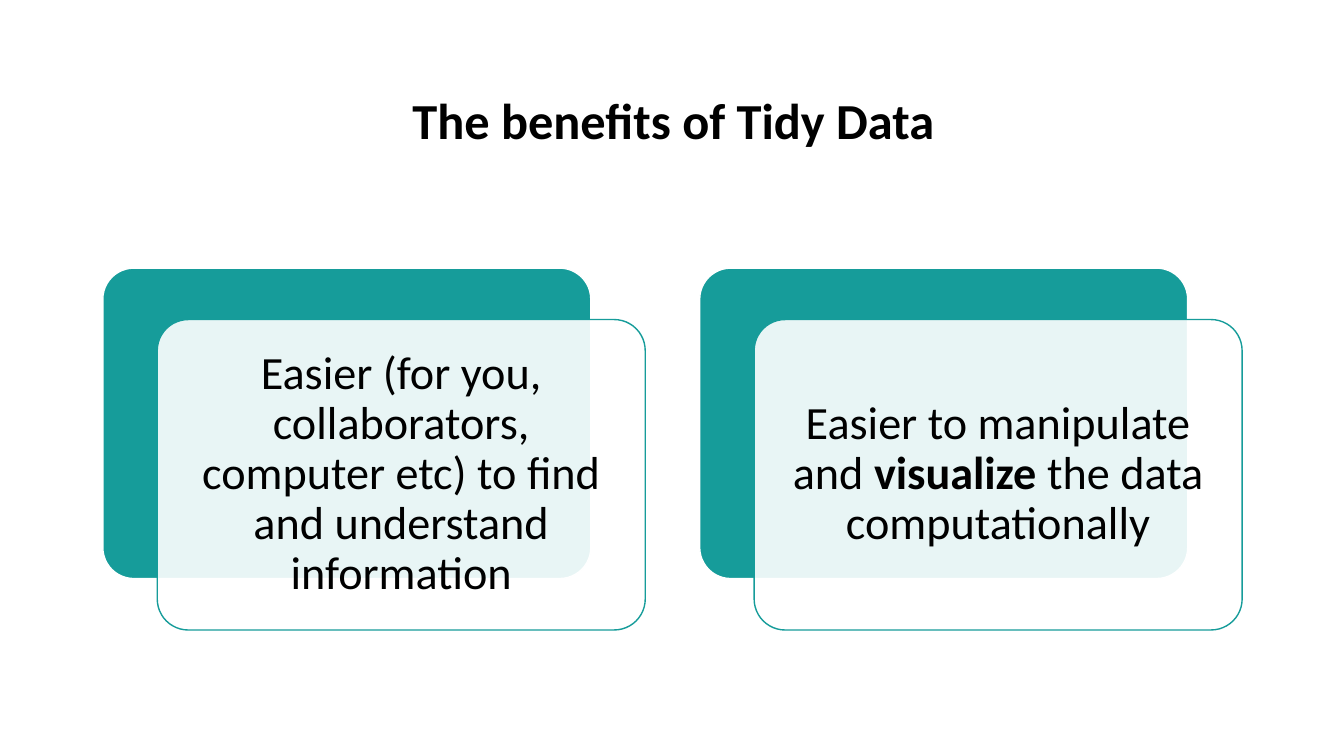
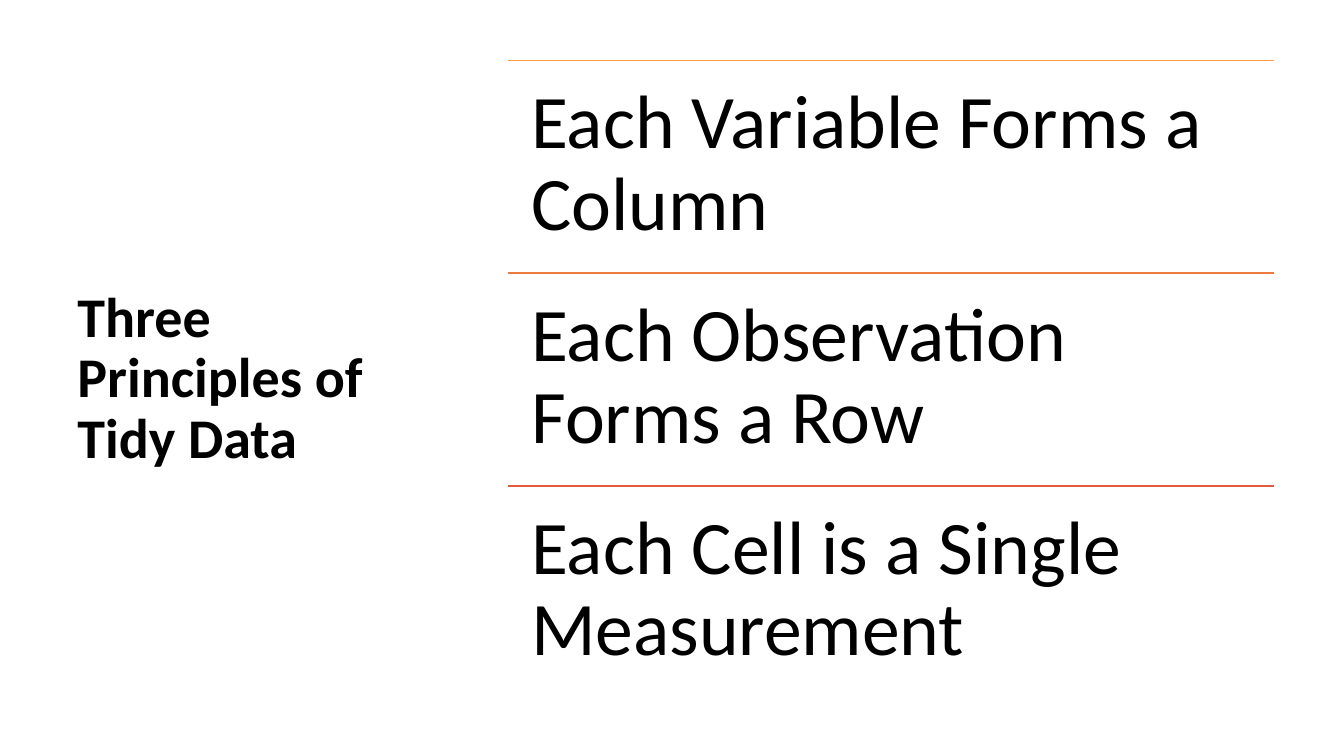
from lxml import etree
from pptx import Presentation
from pptx.dml.color import RGBColor
from pptx.enum import shapes, text
from pptx.oxml.ns import qn
from pptx.util import Inches, Pt

FONT = "Calibri"
BLACK, WHITE, TEAL = "000000", "FFFFFF", "169C9A"
LEFT, CENTER = text.PP_ALIGN.LEFT, text.PP_ALIGN.CENTER
TOP, MIDDLE = text.MSO_ANCHOR.TOP, text.MSO_ANCHOR.MIDDLE

BENEFITS_TITLE = "The benefits of Tidy Data"
BENEFITS = [
    [("Easier (for you, collaborators, computer etc) to find and understand information", False)],
    [("Easier to manipulate and ", False), ("visualize ", True), ("the data computationally", False)],
]
PRINCIPLES_TITLE = "Three Principles of Tidy Data"
PRINCIPLES = [
    ("Each Variable Forms a Column", "FA9A42"),
    ("Each Observation Forms a Row", "EE793F"),
    ("Each Cell is a Single Measurement", "E15C3D"),
]

CARD_LEFT, CARD_TOP, CARD_WIDTH, CARD_HEIGHT = 1.02, 2.66, 4.84, 3.08
CARD_STEP, FRONT_RIGHT, FRONT_DOWN = 5.92, 0.54, 0.51
ROW_LEFT, ROW_TOP, ROW_WIDTH, ROW_HEIGHT = 5.04, 0.6, 7.6, 2.11


def color(value):
    return RGBColor.from_string(value)


def write(shape, runs, size, align=LEFT, anchor=MIDDLE, inset=None, bold=None):
    frame = shape.text_frame
    frame.word_wrap = True
    frame.vertical_anchor = anchor
    if inset is not None:
        frame.margin_left = frame.margin_right = Inches(inset)
        frame.margin_top = frame.margin_bottom = Inches(inset)
    paragraph = frame.paragraphs[0]
    paragraph.alignment = align
    paragraph.line_spacing = 0.9
    paragraph.font.name = FONT
    paragraph.font.size = Pt(size)
    paragraph.font.bold = bold
    paragraph.font.color.rgb = color(BLACK)
    for words, strong in runs:
        run = paragraph.add_run()
        run.text = words
        if strong:
            run.font.bold = True


def add_text(slide, box, words, size, **style):
    shape = slide.shapes.add_textbox(*map(Inches, box))
    write(shape, [(words, False)], size, **style)


def add_title(slide, box, words, size, align=LEFT):
    add_text(slide, box, words, size, align=align, bold=True)


def add_card(slide, left, top, fill, line, opacity=None):
    card = slide.shapes.add_shape(
        shapes.MSO_SHAPE.ROUNDED_RECTANGLE,
        *map(Inches, (left, top, CARD_WIDTH, CARD_HEIGHT)))
    card.adjustments[0] = 0.1
    card.shadow.inherit = False
    card.fill.solid()
    card.fill.fore_color.rgb = color(fill)
    card.line.color.rgb = color(line)
    card.line.width = Pt(1)
    if opacity is not None:
        fill_color = card._element.spPr.find(qn("a:solidFill")).find(qn("a:srgbClr"))
        etree.SubElement(fill_color, qn("a:alpha")).set("val", str(opacity * 1000))
    return card


def add_rule(slide, left, top, width, line):
    rule = slide.shapes.add_connector(
        shapes.MSO_CONNECTOR.STRAIGHT,
        *map(Inches, (left, top, left + width, top)))
    rule.line.color.rgb = color(line)
    rule.line.width = Pt(1)
    etree.SubElement(rule._element.spPr, qn("a:effectLst"))


def build_benefits(slide):
    add_title(slide, (1.67, 0.6, 10.02, 1.24), BENEFITS_TITLE, 36, CENTER)
    for index, runs in enumerate(BENEFITS):
        left = CARD_LEFT + index * CARD_STEP
        add_card(slide, left, CARD_TOP, TEAL, WHITE)
        front = add_card(slide, left + FRONT_RIGHT, CARD_TOP + FRONT_DOWN, WHITE, TEAL, 90)
        write(front, runs, 33, align=CENTER, inset=0.14)


def build_principles(slide):
    add_title(slide, (0.67, 0.6, 3.82, 6.33), PRINCIPLES_TITLE, 40)
    for index, (words, line) in enumerate(PRINCIPLES):
        top = ROW_TOP + index * ROW_HEIGHT
        add_rule(slide, ROW_LEFT, top, ROW_WIDTH, line)
        add_text(slide, (ROW_LEFT, top, ROW_WIDTH, ROW_HEIGHT), words, 54,
                 anchor=TOP, inset=0.23)


def main():
    presentation = Presentation()
    presentation.slide_width = Inches(13.33)
    presentation.slide_height = Inches(7.5)
    for build in (build_benefits, build_principles):
        build(presentation.slides.add_slide(presentation.slide_layouts[6]))
    presentation.save("out.pptx")


if __name__ == "__main__":
    main()
